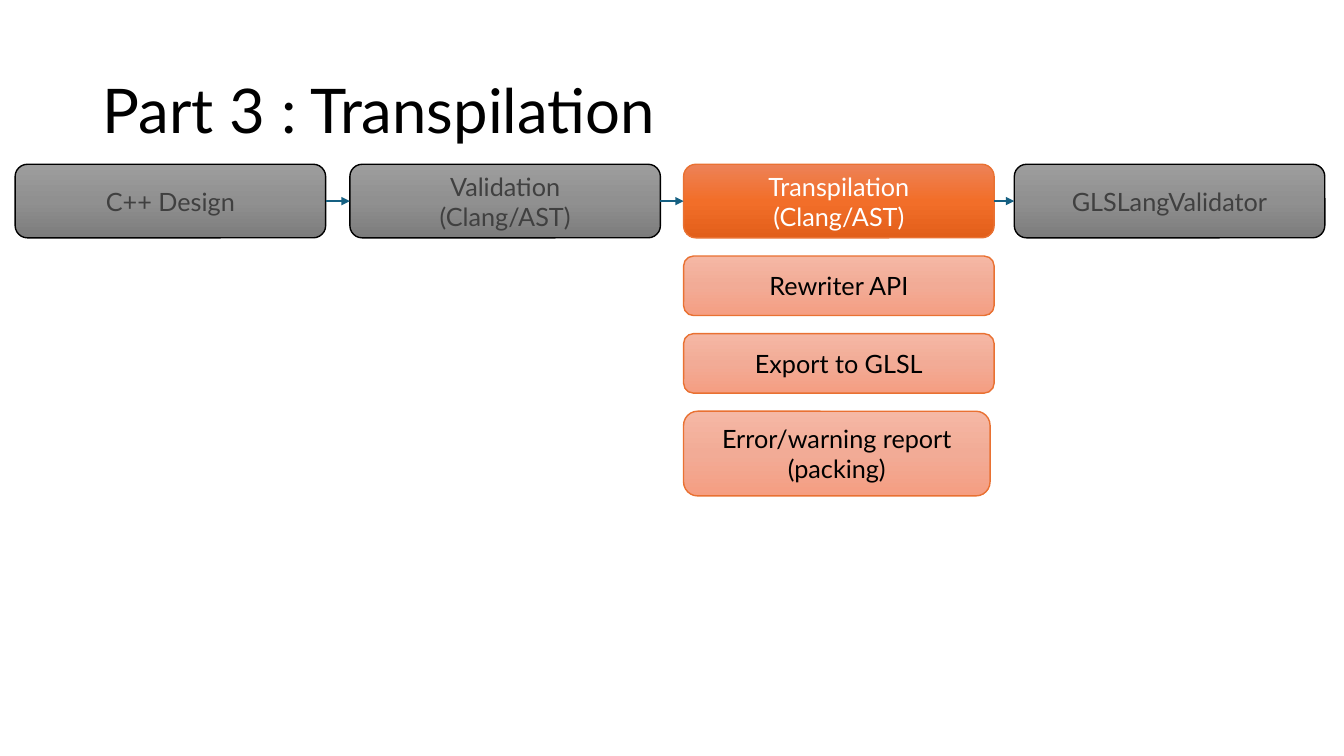
from copy import deepcopy
from dataclasses import dataclass
from itertools import pairwise

from lxml import etree
from pptx import Presentation
from pptx.dml.color import RGBColor
from pptx.enum.shapes import MSO_CONNECTOR, MSO_SHAPE
from pptx.enum.text import MSO_ANCHOR, PP_ALIGN
from pptx.oxml.ns import qn
from pptx.slide import Slide
from pptx.text.text import TextFrame
from pptx.util import Inches, Pt

STRAIGHT = MSO_CONNECTOR.STRAIGHT
ROUNDED = MSO_SHAPE.ROUNDED_RECTANGLE
MIDDLE = MSO_ANCHOR.MIDDLE
LEFT, CENTER = PP_ALIGN.LEFT, PP_ALIGN.CENTER

FONT = "Lato"
BLACK = RGBColor(0x00, 0x00, 0x00)
WHITE = RGBColor(0xFF, 0xFF, 0xFF)
DARK_GRAY = RGBColor(0x40, 0x40, 0x40)
ORANGE = RGBColor(0xE9, 0x71, 0x32)
TEAL = RGBColor(0x15, 0x60, 0x82)
GRAY_STOPS = (RGBColor(0x9D, 0x9D, 0x9D), RGBColor(0x90, 0x90, 0x90), RGBColor(0x7C, 0x7C, 0x7C))
ORANGE_STOPS = (RGBColor(0xED, 0x82, 0x57), RGBColor(0xF2, 0x6E, 0x29), RGBColor(0xE2, 0x5F, 0x1A))
PEACH_STOPS = (RGBColor(0xF5, 0xB8, 0xA5), RGBColor(0xF2, 0xAB, 0x96), RGBColor(0xF5, 0x9E, 0x82))

STAGE_TOP, STAGE_HEIGHT, BOX_WIDTH = 1.63, 0.73, 3.08
STEP_LEFT, STEP_TOP, STEP_GAP = 6.78, 2.54, 0.18


@dataclass(frozen=True)
class Style:
    stops: tuple[RGBColor, RGBColor, RGBColor]
    border: RGBColor
    text: RGBColor


@dataclass(frozen=True)
class Stage:
    left: float
    lines: tuple[str, ...]
    style: Style


@dataclass(frozen=True)
class Step:
    text: str
    width: float
    height: float


INACTIVE = Style(GRAY_STOPS, BLACK, DARK_GRAY)
ACTIVE = Style(ORANGE_STOPS, ORANGE, WHITE)
DETAIL = Style(PEACH_STOPS, ORANGE, BLACK)

STAGES = (
    Stage(0.15, ("C++ Design",), INACTIVE),
    Stage(3.47, ("Validation", "(Clang/AST)"), INACTIVE),
    Stage(STEP_LEFT, ("Transpilation", "(Clang/AST)"), ACTIVE),
    Stage(10.06, ("GLSLangValidator",), INACTIVE),
)
STEPS = (
    Step("Rewriter API", BOX_WIDTH, 0.59),
    Step("Export to GLSL", BOX_WIDTH, 0.59),
    Step("Error/warning report\n(packing)", 3.04, 0.84),
)


def write_text(frame: TextFrame, lines: tuple[str, ...], size: float,
               color: RGBColor, align: PP_ALIGN) -> None:
    """Write one paragraph per line; a newline inside a line is a soft break."""
    frame.word_wrap = True
    frame.vertical_anchor = MIDDLE
    for index, line in enumerate(lines):
        para = frame.add_paragraph() if index else frame.paragraphs[0]
        para.alignment = align
        for part_index, part in enumerate(line.split("\n")):
            if part_index:
                para.add_line_break()
            span = para.add_run()
            span.text = part
            span.font.name = FONT
            span.font.size = Pt(size)
            span.font.color.rgb = color


def add_title(page: Slide, text: str) -> None:
    box = page.shapes.add_textbox(Inches(0.92), Inches(0.4), Inches(11.5), Inches(1.45))
    write_text(box.text_frame, (text,), 44, BLACK, LEFT)
    box.text_frame.paragraphs[0].line_spacing = 0.9


def add_box(page: Slide, left: float, top: float, width: float, height: float,
            lines: tuple[str, ...], style: Style) -> None:
    box = page.shapes.add_shape(ROUNDED, Inches(left), Inches(top), Inches(width), Inches(height))
    box.shadow.inherit = False
    box.line.color.rgb = style.border
    box.line.width = Pt(1)
    # Vertical gradient with a third stop in the middle
    box.fill.gradient()
    box.fill.gradient_angle = 270
    first_stop = box._element.spPr.find(f".//{qn('a:gs')}")
    first_stop.addnext(deepcopy(first_stop))
    for stop, position, color in zip(box.fill.gradient_stops, (0, 0.5, 1), style.stops):
        stop.position = position
        stop.color.rgb = color
    write_text(box.text_frame, lines, 18, style.text, CENTER)


def add_arrow(page: Slide, start: float, end: float, height: float) -> None:
    arrow = page.shapes.add_connector(
        STRAIGHT, Inches(start), Inches(height), Inches(end), Inches(height))
    arrow.line.color.rgb = TEAL
    arrow.line.width = Pt(1.5)
    etree.SubElement(arrow.line._get_or_add_ln(), qn("a:tailEnd"), type="triangle")
    etree.SubElement(arrow._element.spPr, qn("a:effectLst"))


def main() -> None:
    deck = Presentation()
    deck.slide_width, deck.slide_height = Inches(13.33), Inches(7.5)
    page = deck.slides.add_slide(deck.slide_layouts[6])
    add_title(page, "Part 3 : Transpilation")

    # Pipeline stages and the arrows between them
    for stage in STAGES:
        add_box(page, stage.left, STAGE_TOP, BOX_WIDTH, STAGE_HEIGHT, stage.lines, stage.style)
    for before, after in pairwise(STAGES):
        add_arrow(page, before.left + BOX_WIDTH, after.left, STAGE_TOP + STAGE_HEIGHT / 2)

    # Steps stacked under the active stage
    top = STEP_TOP
    for step in STEPS:
        add_box(page, STEP_LEFT, top, step.width, step.height, (step.text,), DETAIL)
        top += step.height + STEP_GAP

    deck.save("out.pptx")


if __name__ == "__main__":
    main()
